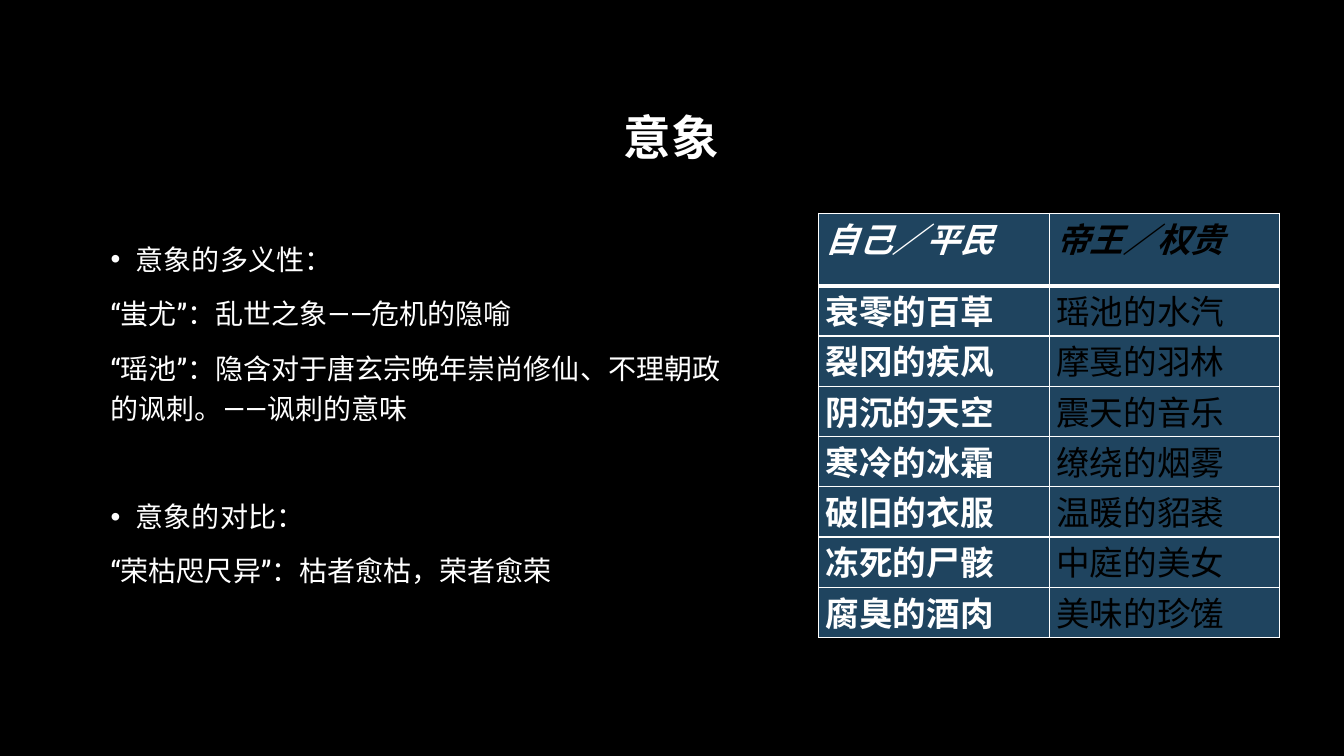
from dataclasses import dataclass

from lxml.etree import SubElement
from pptx import Presentation
from pptx.dml.color import RGBColor
from pptx.enum.lang import MSO_LANGUAGE_ID as Language
from pptx.enum.text import MSO_ANCHOR as Anchor, PP_ALIGN as Align
from pptx.oxml.ns import qn
from pptx.util import Emu, Inches, Pt

SLIDE_WIDTH, SLIDE_HEIGHT = Inches(13.33), Inches(7.5)


@dataclass(frozen=True)
class Theme:
    background: RGBColor = RGBColor(0, 0, 0)
    light: RGBColor = RGBColor(255, 255, 255)
    dark: RGBColor = RGBColor(0, 0, 0)
    cell: RGBColor = RGBColor(0x1F, 0x44, 0x5F)
    latin_font: str = "Roboto Slab"
    table_font: str = "Noto Sans CJK JP"
    title_size: float = 34
    body_size: float = 20
    table_size: float = 24
    rule: float = 1
    header_rule: float = 3


@dataclass(frozen=True)
class Area:
    """A rectangle in percent of the slide's width and height."""
    left: float
    top: float
    width: float
    height: float

    def box(self) -> tuple[Emu, Emu, Emu, Emu]:
        return (across(self.left), down(self.top),
                across(self.width), down(self.height))


@dataclass(frozen=True)
class Line:
    text: str
    bullet: bool = False
    space_before: float = 10


@dataclass(frozen=True)
class Contrast:
    commoner: str
    noble: str


THEME = Theme()
TITLE_AREA = Area(7.5, 8.93, 84.92, 19.33)
BODY_AREA = Area(7.5, 30.53, 48.84, 58.13)
TABLE_AREA = Area(60.92, 28.2, 34.3, 56.2)
HEADER_HEIGHT, ROW_HEIGHT = 9.6, 6.65

LINES = [
    Line("意象的多义性：", bullet=True, space_before=0),
    Line("“蚩尤”：乱世之象——危机的隐喻"),
    Line("“瑶池”：隐含对于唐玄宗晚年崇尚修仙、不理朝政的讽刺。——讽刺的意味"),
    Line("意象的对比：", bullet=True, space_before=48.5),
    Line("“荣枯咫尺异”：枯者愈枯，荣者愈荣"),
]
CONTRASTS = [
    Contrast("自己／平民", "帝王／权贵"),
    Contrast("衰零的百草", "瑶池的水汽"),
    Contrast("裂冈的疾风", "摩戛的羽林"),
    Contrast("阴沉的天空", "震天的音乐"),
    Contrast("寒冷的冰霜", "缭绕的烟雾"),
    Contrast("破旧的衣服", "温暖的貂裘"),
    Contrast("冻死的尸骸", "中庭的美女"),
    Contrast("腐臭的酒肉", "美味的珍馐"),
]


def across(percent: float) -> Emu:
    return Emu(round(SLIDE_WIDTH * percent / 100))


def down(percent: float) -> Emu:
    return Emu(round(SLIDE_HEIGHT * percent / 100))


def add_run(paragraph, text: str, size: float, color: RGBColor, font_name: str,
            bold: bool = False, italic: bool = False) -> None:
    run = paragraph.add_run()
    run.text = text
    font = run.font
    font.size, font.name, font.bold, font.italic = Pt(size), font_name, bold, italic
    font.color.rgb = color
    font.language_id = Language.SIMPLIFIED_CHINESE
    east_asian = SubElement(run._r.rPr, qn("a:ea"))
    east_asian.set("typeface", font_name)


def add_bullet(paragraph) -> None:
    properties = paragraph._p.get_or_add_pPr()
    properties.set("marL", str(Inches(0.25)))
    properties.set("indent", str(-Inches(0.25)))
    SubElement(properties, qn("a:buFont")).set("typeface", "Arial")
    SubElement(properties, qn("a:buChar")).set("char", "•")


def set_borders(cell, bottom: float, top: float) -> None:
    """Draw the four sides of a cell; must run before the cell is filled."""
    properties = cell._tc.get_or_add_tcPr()
    widths = {"lnL": THEME.rule, "lnR": THEME.rule, "lnT": top, "lnB": bottom}
    for side, width in widths.items():
        line = SubElement(properties, qn(f"a:{side}"))
        line.set("w", str(Pt(width)))
        fill = SubElement(line, qn("a:solidFill"))
        SubElement(fill, qn("a:srgbClr")).set("val", str(THEME.light))


def add_title(slide) -> None:
    title = slide.shapes.title
    title.left, title.top, title.width, title.height = TITLE_AREA.box()
    title.text_frame.vertical_anchor = Anchor.MIDDLE
    paragraph = title.text_frame.paragraphs[0]
    paragraph.alignment, paragraph.line_spacing = Align.CENTER, 0.9
    add_run(paragraph, "意象", THEME.title_size, THEME.light, THEME.latin_font, bold=True)


def add_body(slide) -> None:
    frame = slide.shapes.add_textbox(*BODY_AREA.box()).text_frame
    frame.word_wrap = True
    for index, line in enumerate(LINES):
        paragraph = frame.add_paragraph() if index else frame.paragraphs[0]
        paragraph.line_spacing = 1.2
        paragraph.space_before = Pt(line.space_before)
        if line.bullet:
            add_bullet(paragraph)
        add_run(paragraph, line.text, THEME.body_size, THEME.light, THEME.latin_font)


def fill_cell(cell, text: str, color: RGBColor, bold: bool, row: int) -> None:
    set_borders(cell, bottom=THEME.rule if row else THEME.header_rule,
                top=THEME.header_rule if row == 1 else THEME.rule)
    cell.fill.solid()
    cell.fill.fore_color.rgb = THEME.cell
    cell.margin_left = cell.margin_right = Inches(0.07)
    cell.margin_top = cell.margin_bottom = 0
    paragraph = cell.text_frame.paragraphs[0]
    paragraph.alignment = Align.JUSTIFY
    add_run(paragraph, text, THEME.table_size, color, THEME.table_font,
            bold=bold, italic=row == 0)


def add_contrast_table(slide) -> None:
    table = slide.shapes.add_table(len(CONTRASTS), 2, *TABLE_AREA.box()).table
    for row, contrast in enumerate(CONTRASTS):
        table.rows[row].height = down(ROW_HEIGHT if row else HEADER_HEIGHT)
        fill_cell(table.cell(row, 0), contrast.commoner, THEME.light, True, row)
        fill_cell(table.cell(row, 1), contrast.noble, THEME.dark, row == 0, row)


def main() -> None:
    presentation = Presentation()
    presentation.slide_width, presentation.slide_height = SLIDE_WIDTH, SLIDE_HEIGHT
    slide = presentation.slides.add_slide(presentation.slide_layouts[5])
    slide.background.fill.solid()
    slide.background.fill.fore_color.rgb = THEME.background
    add_title(slide)
    add_body(slide)
    add_contrast_table(slide)
    presentation.save("out.pptx")


if __name__ == "__main__":
    main()
